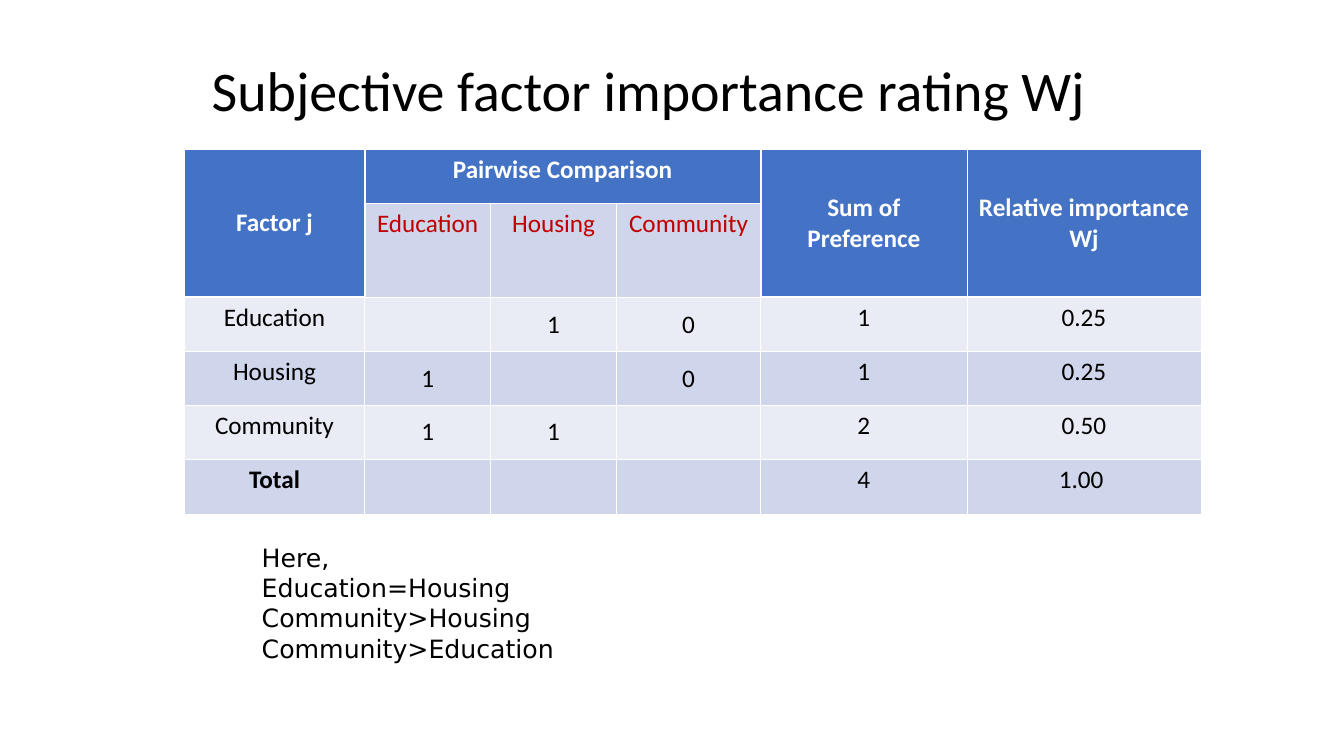
from lxml import etree
from pptx import Presentation
from pptx.dml.color import RGBColor
from pptx.enum import text
from pptx.oxml import ns
from pptx.util import Inches, Pt

# Content
TITLE = "Subjective factor importance rating Wj"
ROWS = [
    ["Factor j", "Pairwise Comparison", "", "", "Sum of Preference", "Relative importance Wj"],
    ["", "Education", "Housing", "Community", "", ""],
    ["Education", "", "1", "0", "1", "0.25"],
    ["Housing", "1", "", "0", "1", "0.25"],
    ["Community", "1", "1", "", "2", "0.50"],
    ["Total", "", "", "", "4", "1.00 "],
]
NOTES = ["Here,", "Education=Housing", "Community>Housing", "Community>Education"]

# Style
BLACK = RGBColor(0x00, 0x00, 0x00)
WHITE = RGBColor(0xFF, 0xFF, 0xFF)
RED = RGBColor(0xC0, 0x00, 0x00)
BLUE = RGBColor(0x44, 0x72, 0xC4)
DARK_BAND = RGBColor(0xCF, 0xD5, 0xEA)
LIGHT_BAND = RGBColor(0xE9, 0xEB, 0xF5)
COLUMN_WIDTHS = [1.79, 1.25, 1.25, 1.43, 2.05, 2.32]
ROW_HEIGHTS = [0.54, 0.93, 0.54, 0.53, 0.54, 0.54]
MERGES = [((0, 0), (1, 0)), ((0, 1), (0, 3)), ((0, 4), (1, 4)), ((0, 5), (1, 5))]
COMPARED = (1, 2, 3)  # columns of the pairwise comparison
THIN, THICK = Pt(0.45), Pt(1.47)


def style_font(font, name, size, color, bold=False):
    font.name, font.size, font.bold = name, Pt(size), bold
    font.color.rgb = color


def set_borders(cell, row, column):
    """Thick lines set the header apart from the cells next to it."""
    height = cell.span_height if cell.is_merge_origin else 1
    width = cell.span_width if cell.is_merge_origin else 1
    header_line = 1 if column in COMPARED else 2
    sides = {
        "L": row < 2 and column in (1, 4),
        "R": row < 2 and column + width in (1, 4),
        "T": row == header_line,
        "B": row + height == header_line,
    }
    properties = cell._tc.get_or_add_tcPr()
    for index, (side, thick) in enumerate(sides.items()):
        line = etree.Element(ns.qn(f"a:ln{side}"), w=str(THICK if thick else THIN))
        fill = etree.SubElement(line, ns.qn("a:solidFill"))
        etree.SubElement(fill, ns.qn("a:srgbClr"), val=str(WHITE))
        properties.insert(index, line)


def style_cell(cell, row, column):
    is_header = row == 0
    band = DARK_BAND if row % 2 else LIGHT_BAND
    cell.fill.solid()
    cell.fill.fore_color.rgb = BLUE if is_header else band
    centred = (column not in COMPARED) if is_header else (row > 1 and column in COMPARED)
    cell.vertical_anchor = text.MSO_ANCHOR.MIDDLE if centred else text.MSO_ANCHOR.TOP
    color = WHITE if is_header else RED if row == 1 else BLACK
    para = cell.text_frame.paragraphs[0]
    para.alignment = text.PP_ALIGN.CENTER
    for span in para.runs:
        style_font(span.font, "Calibri", 18, color, is_header or span.text == "Total")
    set_borders(cell, row, column)


deck = Presentation()
deck.slide_width, deck.slide_height = Inches(13.34), Inches(7.5)
page = deck.slides.add_slide(deck.slide_layouts[5])

# Title
title = page.shapes.title
title.left, title.top, title.width, title.height = map(Inches, (2, 0.3, 9.5, 1.25))
title.text_frame.text = TITLE
title.text_frame.vertical_anchor = text.MSO_ANCHOR.MIDDLE
para = title.text_frame.paragraphs[0]
para.alignment = text.PP_ALIGN.LEFT
para.line_spacing = 0.9
style_font(para.runs[0].font, "Calibri", 40, BLACK)

# Comparison table
table = page.shapes.add_table(
    len(ROWS), len(COLUMN_WIDTHS), Inches(1.83), Inches(1.48),
    Inches(sum(COLUMN_WIDTHS)), Inches(sum(ROW_HEIGHTS))).table
for column, width in zip(table.columns, COLUMN_WIDTHS):
    column.width = Inches(width)
for row, height in zip(table.rows, ROW_HEIGHTS):
    row.height = Inches(height)
for first, last in MERGES:
    table.cell(*first).merge(table.cell(*last))
for r, values in enumerate(ROWS):
    for c, value in enumerate(values):
        cell = table.cell(r, c)
        if not cell.is_spanned:
            cell.text_frame.text = value
            style_cell(cell, r, c)

# Preferences
box = page.shapes.add_textbox(Inches(2.5), Inches(5.33), Inches(7.17), Inches(1.6))
box.text_frame.word_wrap = True
box.text_frame.text = "\n".join(NOTES)
for para in box.text_frame.paragraphs:
    style_font(para.runs[0].font, "DejaVu Sans", 18, BLACK)

deck.save("out.pptx")
